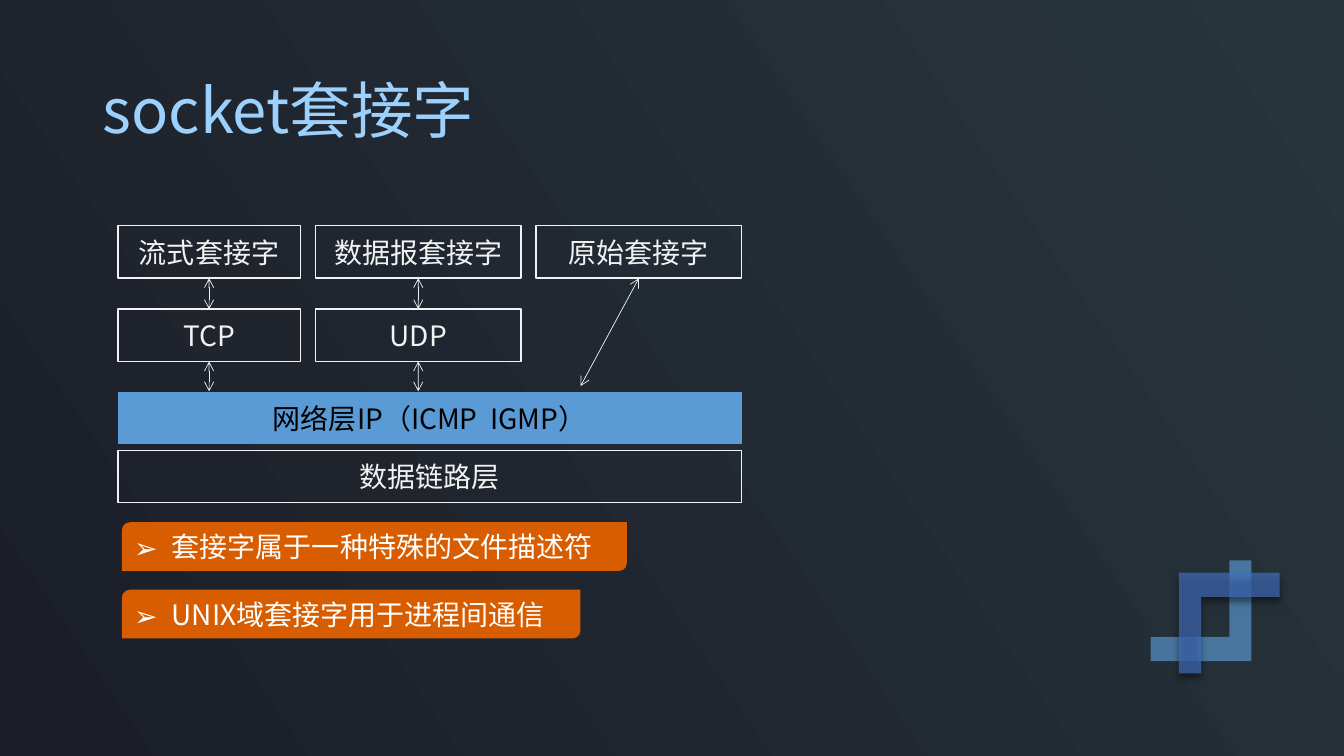
"""Build a slide showing how socket types sit on top of the network layers."""
from lxml.etree import SubElement
from pptx import Presentation
from pptx.dml.color import RGBColor
from pptx.enum.shapes import MSO_CONNECTOR, MSO_SHAPE
from pptx.enum.text import MSO_ANCHOR, MSO_AUTO_SIZE, PP_ALIGN
from pptx.oxml.ns import qn
from pptx.util import Cm, Pt

FONT = "Noto Sans CJK SC"
WHITE, PALE, BLUE, ORANGE = "FFFFFF", "F2F2F2", "5B9BD5", "D75D00"
color = RGBColor.from_string


def add_box(page, kind, left, top, width, height, fill=None, line=None):
    box = page.shapes.add_shape(kind, Cm(left), Cm(top), Cm(width), Cm(height))
    box.shadow.inherit = False
    if fill:
        box.fill.solid()
        box.fill.fore_color.rgb = color(fill)
    else:
        box.fill.background()
    if line:
        box.line.color.rgb = color(line)
        box.line.width = Pt(1)
    else:
        box.line.fill.background()
    return box


def write(box, text, size, ink, frame_format, para_format):
    frame = box.text_frame
    for name, value in frame_format.items():
        setattr(frame, name, value)
    para = frame.paragraphs[0]
    for name, value in para_format.items():
        setattr(para, name, value)
    span = para.add_run()
    span.text = text
    for name, value in {"name": FONT, "size": Pt(size)}.items():
        setattr(span.font, name, value)
    span.font.color.rgb = color(ink)
    SubElement(span.font._element, qn("a:ea"), typeface=FONT)
    return para


deck = Presentation()
deck.slide_width, deck.slide_height = Cm(33.87), Cm(19.05)
page = deck.slides.add_slide(deck.slide_layouts[5])

backdrop = page.background.fill
backdrop.gradient()
backdrop.gradient_angle = 34
for stop, position, shade in zip(backdrop.gradient_stops, (0, 1), ("1B1E28", "28353C")):
    stop.position = position
    stop.color.rgb = color(shade)

for left, top, shade, turn in ((29, 14.12, BLUE, 0), (29.71, 14.43, "4472C4", 180)):
    corner = add_box(page, MSO_SHAPE.CORNER, left, top, 2.54, 2.54, shade)
    corner.rotation = turn
    corner.adjustments[0], corner.adjustments[1] = 0.24, 0.22
    properties = corner._element.spPr
    properties.find(qn("a:xfrm")).set("flipH", "1")
    tint = properties.find(qn("a:solidFill")).find(qn("a:srgbClr"))
    SubElement(tint, qn("a:alpha"), val="65000")
    if turn:
        shadow = SubElement(
            properties.find(qn("a:effectLst")), qn("a:outerShdw"),
            blurRad=str(Pt(5)), dist=str(Pt(4)), dir="5400000", rotWithShape="0")
        shadow_color = SubElement(shadow, qn("a:srgbClr"), val="000000")
        SubElement(shadow_color, qn("a:alpha"), val="63000")

title = page.shapes.title
title_place = {"left": 2.33, "top": 1.01, "width": 29.21, "height": 3.68}
for name, value in title_place.items():
    setattr(title, name, Cm(value))
write(title, "socket套接字", 44, "9DD1FD",
      {"vertical_anchor": MSO_ANCHOR.MIDDLE, "word_wrap": True},
      {"alignment": PP_ALIGN.LEFT, "line_spacing": 0.9})

columns = ((2.97, 4.6), (7.95, 5.18), (13.51, 5.18))
full_width = (2.97, 15.72)
socket_top, transport_top, network_top, link_top = 5.69, 7.79, 9.88, 11.35
layers = (
    ("流式套接字", columns[0], socket_top, None),
    ("数据报套接字", columns[1], socket_top, None),
    ("原始套接字", columns[2], socket_top, None),
    ("TCP", columns[0], transport_top, None),
    ("UDP", columns[1], transport_top, None),
    ("网络层IP（ICMP  IGMP）", full_width, network_top, BLUE),
    ("数据链路层", full_width, link_top, None),
)
boxes = []
for text, (left, width), top, fill in layers:
    box = add_box(page, MSO_SHAPE.FLOWCHART_PROCESS, left, top, width, 1.32,
                  fill, None if fill else PALE)
    write(box, text, 20, "000000" if fill else PALE,
          {"vertical_anchor": MSO_ANCHOR.MIDDLE, "word_wrap": True},
          {"alignment": PP_ALIGN.CENTER})
    boxes.append(box)
stream, datagram, raw, tcp, udp = boxes[:5]

arrows = (
    (raw, None, 14.63, 9.73),
    (datagram, udp, 10.54, transport_top),
    (stream, tcp, 5.27, transport_top),
    (udp, None, 10.54, 9.86),
    (tcp, None, 5.27, 9.86),
)
for source, target, end_x, end_y in arrows:
    arrow = page.shapes.add_connector(
        MSO_CONNECTOR.STRAIGHT, source.left + source.width // 2,
        source.top + source.height, Cm(end_x), Cm(end_y))
    arrow.begin_connect(source, 2)
    if target:
        arrow.end_connect(target, 0)
    arrow.line.color.rgb = color(PALE)
    arrow.line.width = Pt(0.5)
    outline = arrow.line._get_or_add_ln()
    for end in ("a:headEnd", "a:tailEnd"):
        SubElement(outline, qn(end), type="arrow")
    SubElement(arrow._element.spPr, qn("a:effectLst"))

notes = (
    ("套接字属于一种特殊的文件描述符", 13.16, 12.73),
    ("UNIX域套接字用于进程间通信", 14.86, 11.56),
)
for text, top, width in notes:
    box = add_box(page, MSO_SHAPE.ROUND_2_DIAG_RECTANGLE, 3.07, top, width, 1.23, ORANGE)
    para = write(box, text, 20, WHITE,
                 {"vertical_anchor": MSO_ANCHOR.TOP, "word_wrap": True,
                  "auto_size": MSO_AUTO_SIZE.SHAPE_TO_FIT_TEXT},
                 {"alignment": PP_ALIGN.LEFT})
    layout = para._p.get_or_add_pPr()
    layout.set("marL", str(Cm(0.95)))
    layout.set("indent", str(-Cm(0.95)))
    bullet_color = SubElement(layout, qn("a:buClr"))
    SubElement(bullet_color, qn("a:srgbClr"), val=WHITE)
    SubElement(layout, qn("a:buFont"), typeface=FONT)
    SubElement(layout, qn("a:buChar"), char="➢")

deck.save("out.pptx")
